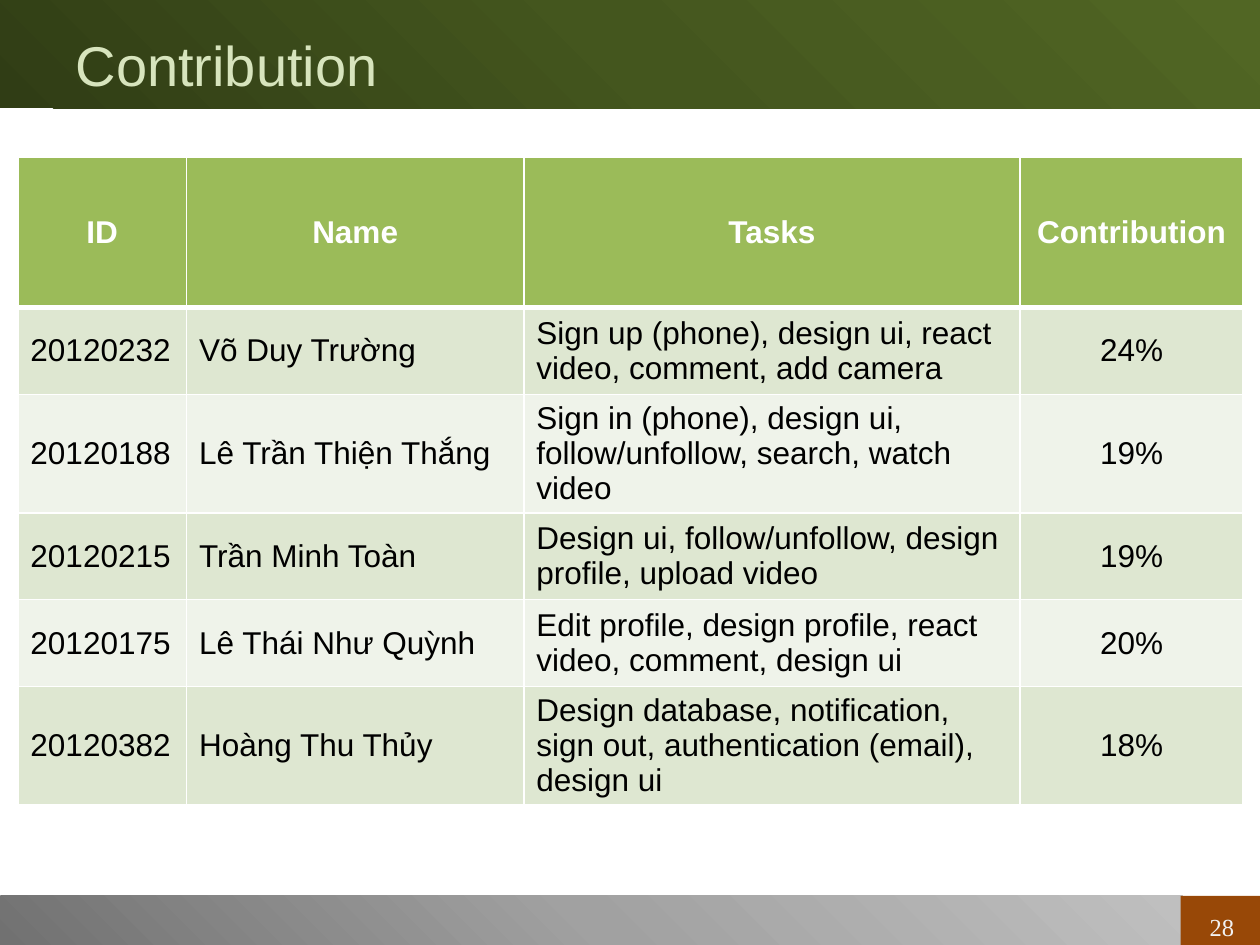
from copy import deepcopy

from lxml.etree import SubElement
from pptx import Presentation
from pptx.dml.color import RGBColor
from pptx.enum.shapes import MSO_SHAPE as Preset
from pptx.enum.text import MSO_ANCHOR as Anchor, PP_ALIGN as Align
from pptx.oxml.ns import qn
from pptx.util import Cm, Pt


def color(hex_text):
    return RGBColor.from_string(hex_text)


def style(para, font_name, size, hex_text, align=Align.LEFT, bold=False):
    para.alignment = align
    for span in para.runs:
        span.font.name = font_name
        span.font.size = Pt(size)
        span.font.bold = bold
        span.font.color.rgb = color(hex_text)


deck = Presentation()
deck.slide_width, deck.slide_height = Cm(25.4), Cm(19.05)
page = deck.slides.add_slide(deck.slide_layouts[5])

# Header and footer bands, and the page number block
bands = [
    (0, 18.06, 23.83, 0.99, ["717171", "A1A1A1", "BFBFBF"]),
    (0, 0, 25.4, 2.18, ["303D15", "44561E", "516624"]),
    (23.8, 18.06, 1.6, 0.99, ["984807"]),
]
for left, top, width, height, shades in bands:
    band = page.shapes.add_shape(
        Preset.RECTANGLE, Cm(left), Cm(top), Cm(width), Cm(height))
    band.shadow.inherit = False
    band.line.fill.background()
    if len(shades) == 1:
        band.fill.solid()
        band.fill.fore_color.rgb = color(shades[0])
        continue
    band.fill.gradient()
    band.fill.gradient_angle = 45
    stop_list = band._element.spPr.find(".//" + qn("a:gsLst"))
    stop_list.append(deepcopy(stop_list[0]))
    for stop, shade, position in zip(band.fill.gradient_stops, shades, (0, 0.5, 1)):
        stop.color.rgb = color(shade)
        stop.position = position

# Page number
number_box = page.shapes.add_textbox(Cm(23.83), Cm(18.26), Cm(1.6), Cm(0.81))
number_box.text_frame.word_wrap = True
number_box.text_frame.text = "28"
style(number_box.text_frame.paragraphs[0], "Times New Roman", 14, "F2F2F2", Align.CENTER)

# Title, in front of the header band
title = page.shapes.title
title.left, title.top, title.width, title.height = Cm(1.27), Cm(0.41), Cm(22.86), Cm(1.78)
title.text_frame.text = "Contribution"
title.text_frame.vertical_anchor = Anchor.MIDDLE
style(title.text_frame.paragraphs[0], "Arial", 32, "D7E4BD")
page.shapes._spTree.append(title._element)

# Contribution table
rows = [
    ("ID", "Name", "Tasks", "Contribution"),
    ("20120232", "Võ Duy Trường",
     "Sign up (phone), design ui, react video, comment, add camera", "24%"),
    ("20120188", "Lê Trần Thiện Thắng",
     "Sign in (phone), design ui, follow/unfollow, search, watch video", "19%"),
    ("20120215", "Trần Minh Toàn",
     "Design ui, follow/unfollow, design profile, upload video", "19%"),
    ("20120175", "Lê Thái Như Quỳnh",
     "Edit profile, design profile, react video, comment, design ui", "20%"),
    ("20120382", "Hoàng Thu Thủy",
     "Design database, notification, sign out, authentication (email), design ui", "18%"),
]
table = page.shapes.add_table(
    len(rows), 4, Cm(0.36), Cm(3.18), Cm(24.7), Cm(12.67)).table
for column, width in zip(table.columns, (3.4, 6.8, 10, 4.5)):
    column.width = Cm(width)

for row_index, texts in enumerate(rows):
    is_header = row_index == 0
    table.rows[row_index].height = Cm(3.02 if is_header else 1.75)
    fill = "9BBB59" if is_header else ("EFF3EA", "DEE7D1")[row_index % 2]
    for column_index, text in enumerate(texts):
        cell = table.cell(row_index, column_index)
        cell.vertical_anchor = Anchor.MIDDLE
        cell.fill.solid()
        cell.fill.fore_color.rgb = color(fill)
        cell.text_frame.text = text
        centered = is_header or column_index == 3
        style(cell.text_frame.paragraphs[0], "Arial", 18,
              "FFFFFF" if is_header else "000000",
              Align.CENTER if centered else Align.LEFT, is_header)

        # White borders, thicker on both sides of the edge below the header
        properties = cell._tc.get_or_add_tcPr()
        for place, side in enumerate(("lnL", "lnR", "lnT", "lnB")):
            thick = (row_index, side) in ((0, "lnB"), (1, "lnT"))
            border = SubElement(properties, qn("a:" + side), w=str(Pt(3 if thick else 1)))
            paint = SubElement(border, qn("a:solidFill"))
            SubElement(paint, qn("a:srgbClr"), val="FFFFFF")
            properties.insert(place, border)

deck.save("out.pptx")
